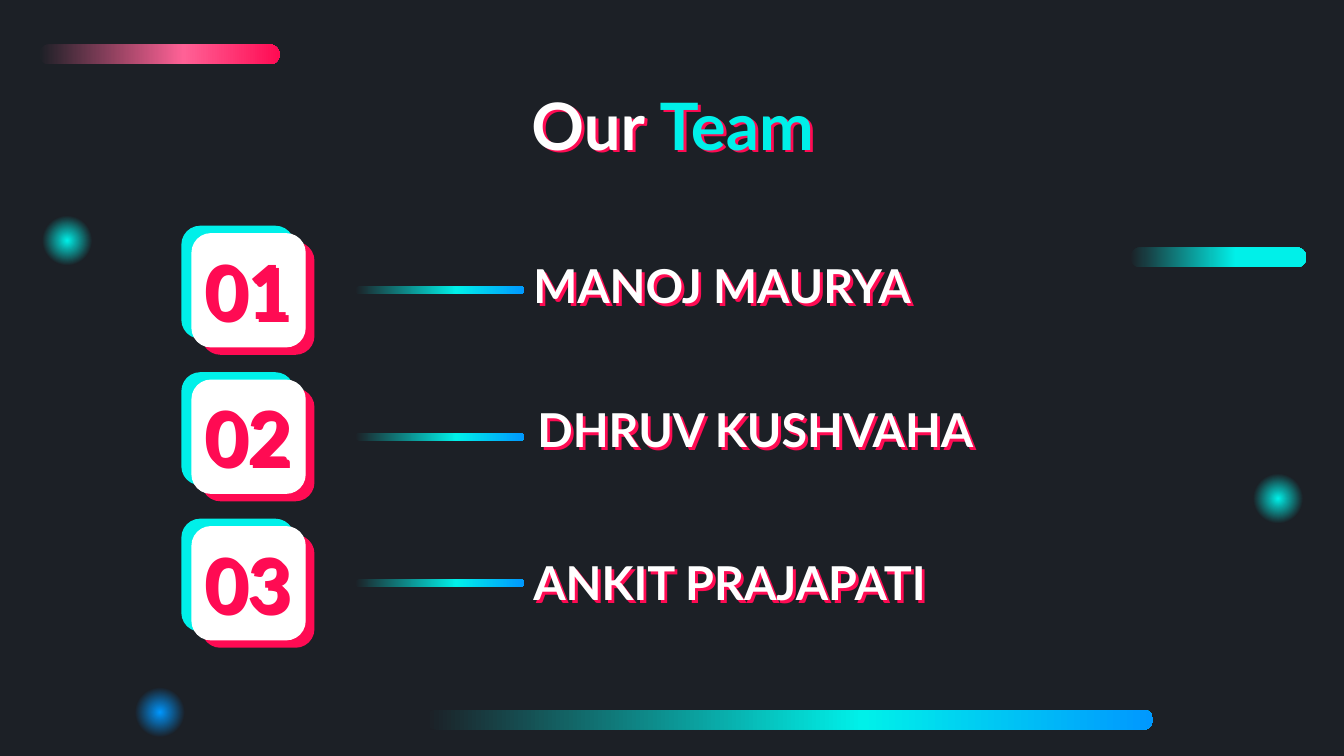
from dataclasses import dataclass

import pptx
import pptx.dml.color
import pptx.enum.shapes
import pptx.enum.text
import pptx.oxml
import pptx.oxml.ns
import pptx.util

RGBColor = pptx.dml.color.RGBColor
Preset = pptx.enum.shapes.MSO_SHAPE
Anchor = pptx.enum.text.MSO_ANCHOR
Align = pptx.enum.text.PP_ALIGN

DARK = RGBColor(0x1C, 0x20, 0x26)
CYAN = RGBColor(0x00, 0xF0, 0xE9)
BLUE = RGBColor(0x00, 0x98, 0xFF)
PINK = RGBColor(0xFF, 0x61, 0x96)
RED = RGBColor(0xFF, 0x0B, 0x53)
WHITE = RGBColor(0xFF, 0xFF, 0xFF)

COLUMNS = 1000
SLIDE_WIDTH = pptx.util.Inches(10)
SLIDE_HEIGHT = SLIDE_WIDTH * 9 // 16
CELL = SLIDE_WIDTH // COLUMNS
MEMBER_PITCH = 109
LINEAR = '<a:lin ang="0" scaled="0"/>'
RADIAL = '<a:path path="circle"><a:fillToRect l="50000" t="50000" r="50000" b="50000"/></a:path>'


@dataclass(frozen=True)
class Region:
    left: int
    top: int
    width: int
    height: int

    def lengths(self) -> tuple[int, int, int, int]:
        return self.left * CELL, self.top * CELL, self.width * CELL, self.height * CELL


@dataclass(frozen=True)
class Bar:
    region: Region
    middle: RGBColor
    end: RGBColor


@dataclass(frozen=True)
class Glow:
    left: int
    top: int
    color: RGBColor


@dataclass(frozen=True)
class Member:
    name: str
    left: int
    top: int


@dataclass(frozen=True)
class Tile:
    left: int
    top: int
    color: RGBColor


@dataclass(frozen=True)
class TextStyle:
    size: int
    color: RGBColor
    align: Align
    anchor: Anchor
    top_inset: int


BARS = [
    Bar(Region(317, 528, 541, 15), CYAN, BLUE),
    Bar(Region(29, 33, 179, 15), PINK, RED),
    Bar(Region(841, 184, 131, 15), CYAN, CYAN),
]
GLOWS = [Glow(29, 158, CYAN), Glow(98, 509, BLUE), Glow(930, 350, CYAN)]
MEMBERS = [
    Member("MANOJ MAURYA", 387, 191),
    Member("DHRUV KUSHVAHA", 390, 298),
    Member("ANKIT PRAJAPATI", 387, 412),
]
TILES = [Tile(135, 168, CYAN), Tile(150, 180, RED), Tile(143, 174, WHITE)]
HEADING = TextStyle(35, WHITE, Align.CENTER, Anchor.TOP, 0)
NAME = TextStyle(25, WHITE, Align.LEFT, Anchor.TOP, 0)
NUMBER = TextStyle(40, RED, Align.CENTER, Anchor.MIDDLE, 10)


def add_plain_shape(shapes, preset: Preset, region: Region):
    shape = shapes.add_shape(preset, *region.lengths())
    shape.shadow.inherit = False
    shape.line.fill.background()
    return shape


def fill_gradient(shape, stops: list[tuple[int, RGBColor]], direction: str) -> None:
    shape.fill.background()
    marks = "".join(
        f'<a:gs pos="{share * 1000}"><a:srgbClr val="{color}"/></a:gs>' for share, color in stops
    )
    gradient = pptx.oxml.parse_xml(
        f'<a:gradFill {pptx.oxml.ns.nsdecls("a")} rotWithShape="1">'
        f"<a:gsLst>{marks}</a:gsLst>{direction}</a:gradFill>"
    )
    properties = shape.element.spPr
    properties.replace(properties.find(pptx.oxml.ns.qn("a:noFill")), gradient)


def add_bar(page, bar: Bar) -> None:
    shape = add_plain_shape(page.shapes, Preset.ROUNDED_RECTANGLE, bar.region)
    shape.adjustments[0] = 0.5
    fill_gradient(shape, [(0, DARK), (60, bar.middle), (100, bar.end)], LINEAR)


def add_glow(page, glow: Glow) -> None:
    shape = add_plain_shape(page.shapes, Preset.OVAL, Region(glow.left, glow.top, 42, 42))
    fill_gradient(shape, [(0, glow.color), (63, DARK), (100, DARK)], RADIAL)


def write_text(box, region: Region, spans: list[tuple[str, RGBColor]], style: TextStyle) -> None:
    box.left, box.top, box.width, box.height = region.lengths()
    frame = box.text_frame
    frame.word_wrap = True
    frame.auto_size = pptx.enum.text.MSO_AUTO_SIZE.NONE
    frame.vertical_anchor = style.anchor
    frame.margin_left = frame.margin_right = frame.margin_bottom = 10 * CELL
    frame.margin_top = style.top_inset * CELL
    para = frame.paragraphs[0]
    para.alignment = style.align
    para.font.name = "Lato"
    para.font.size = pptx.util.Pt(style.size)
    para.font.bold = True
    for text, color in spans:
        span = para.add_run()
        span.text = text
        span.font.color.rgb = color
    box.element.spPr.append(
        pptx.oxml.parse_xml(
            f'<a:effectLst {pptx.oxml.ns.nsdecls("a")}>'
            '<a:outerShdw dist="28575" dir="2700000" algn="tl" rotWithShape="0">'
            f'<a:srgbClr val="{RED}"/></a:outerShdw></a:effectLst>'
        )
    )


def add_text(page, region: Region, text: str, style: TextStyle) -> None:
    box = page.shapes.add_textbox(*region.lengths())
    write_text(box, region, [(text, style.color)], style)


def add_member(page, index: int, member: Member) -> None:
    shift = index * MEMBER_PITCH
    add_text(page, Region(member.left, member.top, 444, 47), member.name, NAME)
    add_bar(page, Bar(Region(264, 213 + shift, 126, 6), CYAN, BLUE))
    badge = page.shapes.add_group_shape()
    for tile in TILES:
        region = Region(tile.left, tile.top + shift, 84, 84)
        shape = add_plain_shape(badge.shapes, Preset.ROUNDED_RECTANGLE, region)
        shape.fill.solid()
        shape.fill.fore_color.rgb = tile.color
        if tile.color == WHITE:
            shape.line.color.rgb = WHITE
            shape.line.width = pptx.util.Pt(0.75)
    add_text(page, Region(135, 174 + shift, 99, 83), f"{index + 1:02}", NUMBER)


def main() -> None:
    deck = pptx.Presentation()
    deck.slide_width, deck.slide_height = SLIDE_WIDTH, SLIDE_HEIGHT
    page = deck.slides.add_slide(deck.slide_layouts[5])
    page.background.fill.solid()
    page.background.fill.fore_color.rgb = DARK
    for bar in BARS:
        add_bar(page, bar)
    for glow in GLOWS:
        add_glow(page, glow)
    write_text(
        page.shapes.title, Region(79, 63, 843, 63), [("Our ", WHITE), ("Team", CYAN)], HEADING
    )
    for index, member in enumerate(MEMBERS):
        add_member(page, index, member)
    deck.save("out.pptx")


main()
